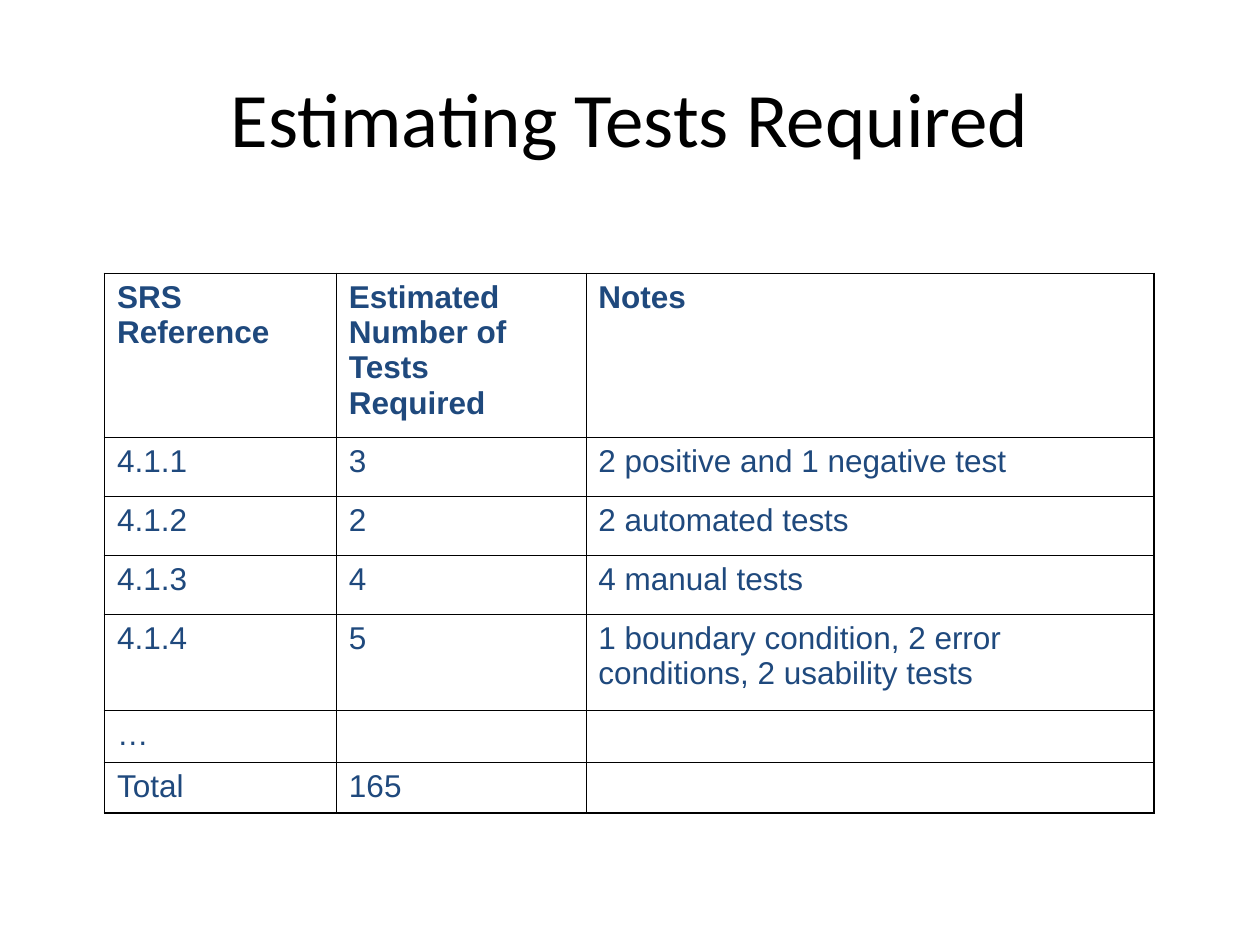
import dataclasses

import pptx
import pptx.dml.color
import pptx.enum.text
import pptx.oxml
import pptx.oxml.ns
import pptx.util

Inches = pptx.util.Inches
Pt = pptx.util.Pt


@dataclasses.dataclass(frozen=True)
class Theme:
    title_font: str = "Calibri"
    table_font: str = "Arial"
    title_size: float = 44
    table_size: float = 18
    title_color: str = "000000"
    table_color: str = "1F497D"
    border_color: str = "000000"
    outer_border: float = 1.08
    inner_border: float = 0.45


COLUMN_WIDTHS = [1.84, 1.98, 4.51]
ROW_HEIGHTS = [1.3, 0.47, 0.47, 0.47, 0.76, 0.41, 0.4]
ESTIMATES = [
    ["SRS Reference", "Estimated Number of Tests Required", "Notes"],
    ["4.1.1", "3", "2 positive and 1 negative test"],
    ["4.1.2", "2", "2 automated tests"],
    ["4.1.3", "4", "4 manual tests"],
    ["4.1.4", "5", "1 boundary condition, 2 error conditions, 2 usability tests"],
    ["…", "", ""],
    ["Total", "165", ""],
]


def write_text(frame, text, *, font, size, color, bold=False,
               align=pptx.enum.text.PP_ALIGN.LEFT):
    para = frame.paragraphs[0]
    para.alignment = align
    if not text:
        para.font.size = Pt(size)
        return
    span = para.add_run()
    span.text = text
    span.font.name = font
    span.font.size = Pt(size)
    span.font.bold = bold
    span.font.color.rgb = pptx.dml.color.RGBColor.from_string(color)


def set_borders(cell, color, widths):
    """Draw the cell's edges; widths are points for left, right, top, bottom."""
    properties = cell._tc.get_or_add_tcPr()
    for index, (side, width) in enumerate(zip("LRTB", widths)):
        line = pptx.oxml.parse_xml(
            f'<a:ln{side} {pptx.oxml.ns.nsdecls("a")} w="{Pt(width)}">'
            f'<a:solidFill><a:srgbClr val="{color}"/></a:solidFill>'
            f'</a:ln{side}>'
        )
        properties.insert(index, line)


class SlideBuilder:
    def __init__(self, slide, theme):
        self.slide = slide
        self.theme = theme

    def title(self, text, left, top, width, height):
        box = self.slide.shapes.title
        box.left, box.top = Inches(left), Inches(top)
        box.width, box.height = Inches(width), Inches(height)
        box.text_frame.vertical_anchor = pptx.enum.text.MSO_ANCHOR.MIDDLE
        write_text(box.text_frame, text, font=self.theme.title_font,
                   size=self.theme.title_size, color=self.theme.title_color,
                   align=pptx.enum.text.PP_ALIGN.CENTER)

    def table(self, rows, left, top, column_widths, row_heights):
        """Add a plain grid with a bold first row and a heavier outer border."""
        theme = self.theme
        last_row, last_column = len(rows) - 1, len(column_widths) - 1
        table = self.slide.shapes.add_table(
            len(rows), len(column_widths), Inches(left), Inches(top),
            Inches(sum(column_widths)), Inches(sum(row_heights))).table
        table.first_row = table.horz_banding = False
        for column, width in zip(table.columns, column_widths):
            column.width = Inches(width)
        for row, height in zip(table.rows, row_heights):
            row.height = Inches(height)
        for row_index, row in enumerate(rows):
            for column_index, text in enumerate(row):
                cell = table.cell(row_index, column_index)
                cell.fill.background()
                write_text(cell.text_frame, text, font=theme.table_font,
                           size=theme.table_size, color=theme.table_color,
                           bold=row_index == 0)
                on_edge = [column_index == 0, column_index == last_column,
                           row_index == 0, row_index == last_row]
                set_borders(cell, theme.border_color,
                            [theme.outer_border if edge else theme.inner_border
                             for edge in on_edge])


def main():
    deck = pptx.Presentation()
    deck.slide_width, deck.slide_height = Inches(10), Inches(7.5)
    page = SlideBuilder(deck.slides.add_slide(deck.slide_layouts[5]), Theme())
    page.title("Estimating Tests Required", 0.5, 0.3, 9, 1.25)
    page.table(ESTIMATES, 0.83, 2.17, COLUMN_WIDTHS, ROW_HEIGHTS)
    deck.save("out.pptx")


if __name__ == "__main__":
    main()
